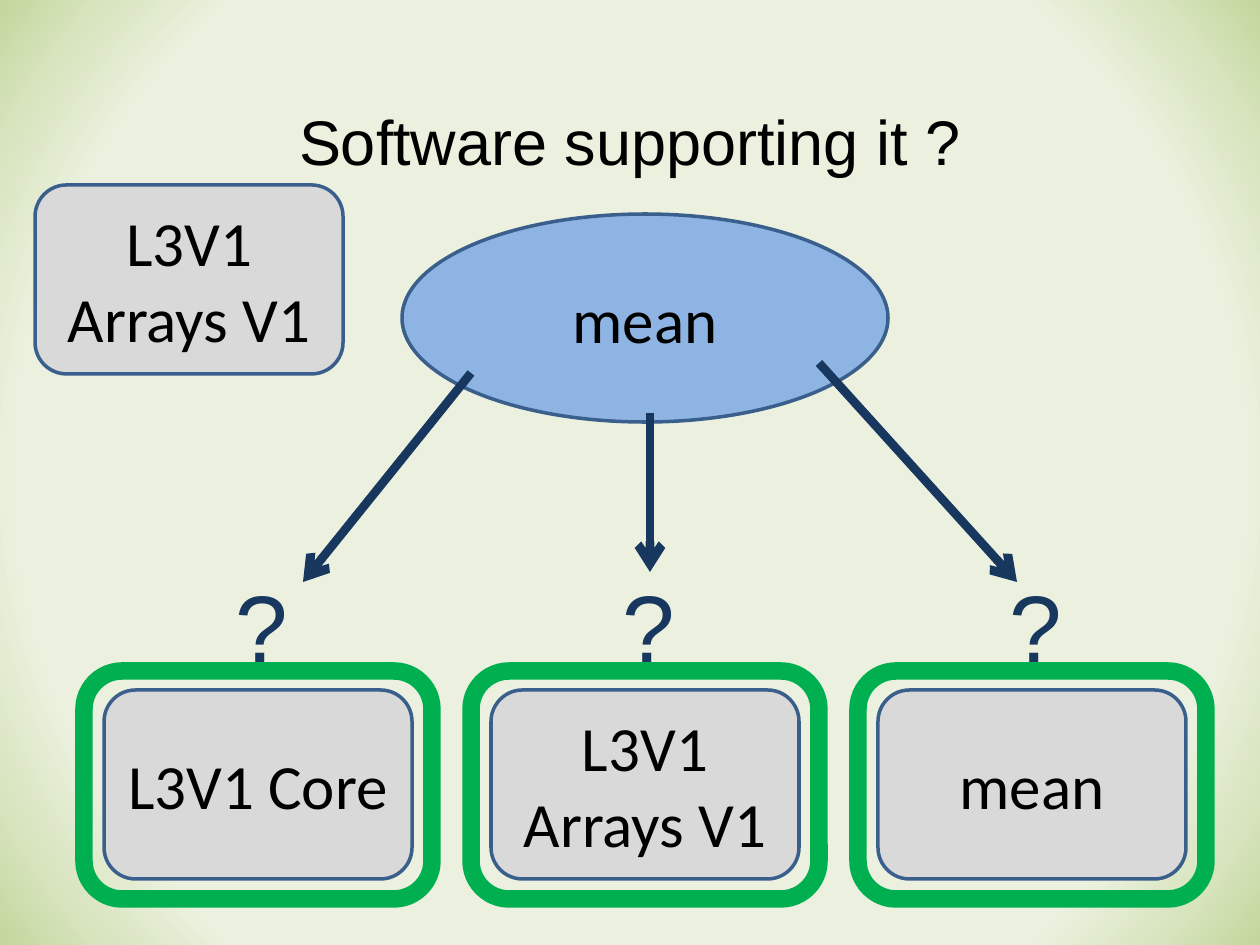
from pptx import Presentation
from pptx.dml.color import RGBColor
from pptx.enum.shapes import MSO_CONNECTOR, MSO_SHAPE
from pptx.enum.text import MSO_ANCHOR, PP_ALIGN
from pptx.oxml import parse_xml
from pptx.oxml.ns import nsdecls, qn
from pptx.util import Pt
from lxml import etree

PX = 914400 / 126  # 126 px to the inch
NAVY, EDGE, GREY, BLUE, GREEN = "17375E", "3A5F8C", "D9D9D9", "8EB4E3", "00B050"


def write(shape, text, font="Calibri", size=36, hue="000000",
          align=PP_ALIGN.CENTER, anchor=MSO_ANCHOR.MIDDLE):
    frame = shape.text_frame
    frame.word_wrap = True
    frame.vertical_anchor = anchor
    para = frame.paragraphs[0]
    para.alignment = align
    run = para.add_run()
    run.text = text
    run.font.name, run.font.size = font, Pt(size)
    run.font.color.rgb = RGBColor.from_string(hue)


def draw(kind, box, fill=None, line=EDGE, width=2):
    shape = shapes.add_shape(kind, *[round(n * PX) for n in box])
    shape.shadow.inherit = False
    if fill:
        shape.fill.solid()
        shape.fill.fore_color.rgb = RGBColor.from_string(fill)
    else:
        shape.fill.background()
    shape.line.color.rgb = RGBColor.from_string(line)
    shape.line.width = Pt(width)
    return shape


deck = Presentation()
deck.slide_width, deck.slide_height = round(1260 * PX), round(945 * PX)
slide = deck.slides.add_slide(deck.slide_layouts[6])
shapes = slide.shapes

# Background: green glow from the corners
slide.background.fill.gradient()
old = slide.element.find(".//" + qn("a:gradFill"))
stops = "".join(
    f'<a:gs pos="{pos * 1000}"><a:srgbClr val="{hue}"/></a:gs>'
    for pos, hue in [(78, "EBF1DE"), (90, "D7E4BD"), (100, "C3D69B")])
glow = parse_xml(
    f'<a:gradFill {nsdecls("a")} rotWithShape="1"><a:gsLst>{stops}</a:gsLst>'
    '<a:path path="circle"><a:fillToRect l="50000" t="50000" r="50000" b="50000"/>'
    '</a:path></a:gradFill>')
old.getparent().replace(old, glow)

# Title
title = shapes.add_textbox(0, round(96 * PX), round(1260 * PX), round(89 * PX))
write(title, "Software supporting it ?", font="Arial", anchor=MSO_ANCHOR.TOP)

# Model at the top
write(draw(MSO_SHAPE.OVAL, (402, 214, 486, 208), BLUE), "mean")

# Arrows to the packages
for ends in [(471, 373, 303, 582), (650, 413, 650, 572), (819, 363, 1017, 582)]:
    arrow = shapes.add_connector(MSO_CONNECTOR.STRAIGHT, *[round(n * PX) for n in ends])
    arrow.line.color.rgb = RGBColor.from_string(NAVY)
    arrow.line.width = Pt(5)
    etree.SubElement(arrow.line._get_or_add_ln(), qn("a:tailEnd"), type="arrow")
    etree.SubElement(arrow._element.spPr, qn("a:effectLst"))

# Required packages, each with a question mark and a green frame
CARD = MSO_SHAPE.FLOWCHART_ALTERNATE_PROCESS
for i, name in enumerate(["L3V1 Core", "L3V1 Arrays V1", "mean"]):
    left = 104 + 387 * i
    mark = shapes.add_textbox(*[round(n * PX) for n in (left + 119, 562, 69, 127)])
    write(mark, "?", font="Arial", size=54, hue=NAVY,
          align=PP_ALIGN.LEFT, anchor=MSO_ANCHOR.TOP)
    write(draw(CARD, (left, 690, 308, 189), GREY), name)
    draw(MSO_SHAPE.ROUNDED_RECTANGLE, (left - 20, 671, 348, 228), line=GREEN, width=10)

# Package in question
write(draw(CARD, (35, 185, 308, 189), GREY), "L3V1 Arrays V1")

deck.save("out.pptx")
